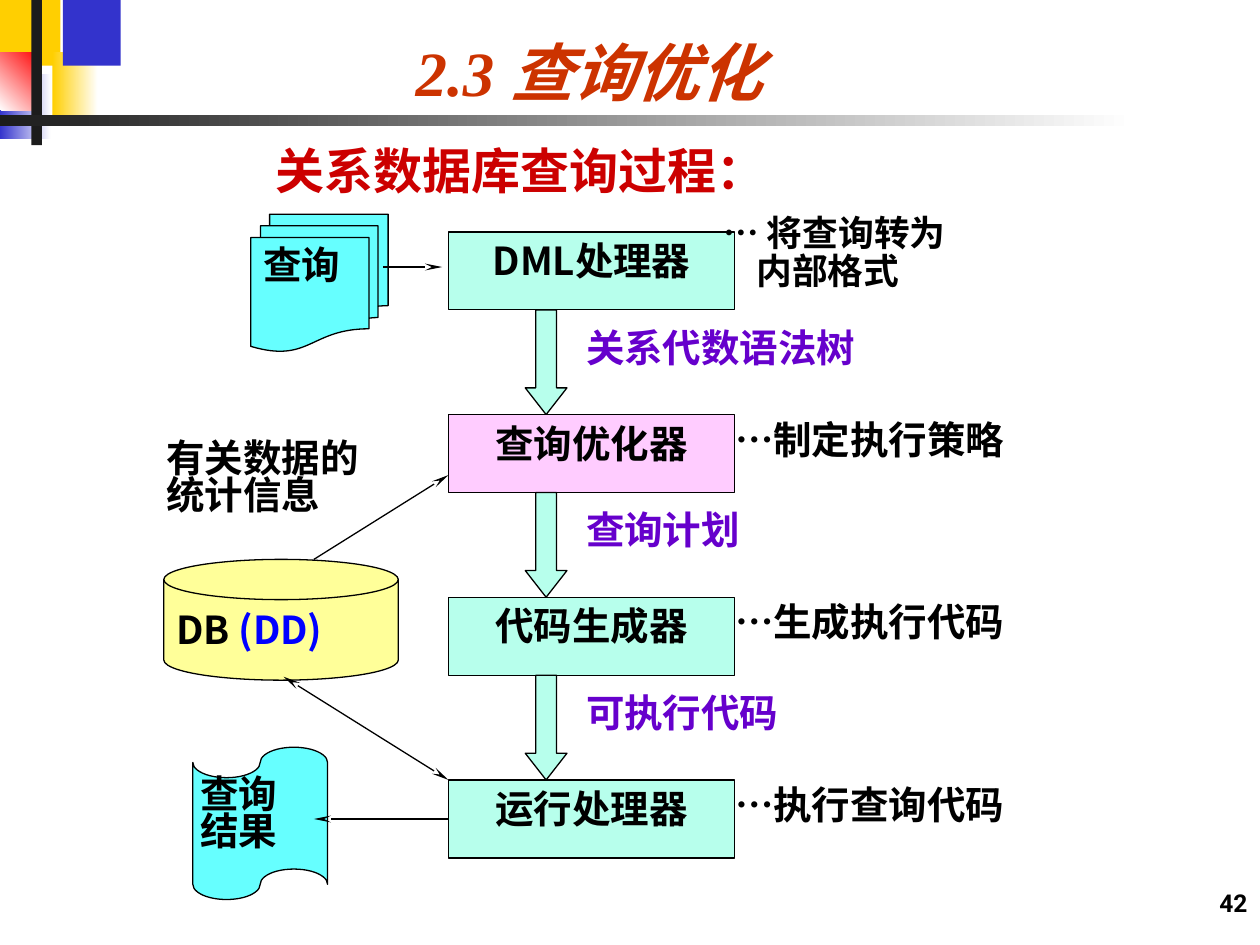
"""Build a slide showing how a relational database processes a query."""
import lxml.etree
import pptx
import pptx.dml.color
import pptx.enum.shapes
import pptx.enum.text
import pptx.oxml.ns
import pptx.util

Pt = pptx.util.Pt
SHAPE = pptx.enum.shapes.MSO_SHAPE
ALIGN = pptx.enum.text.PP_ALIGN
ANCHOR = pptx.enum.text.MSO_ANCHOR
qn = pptx.oxml.ns.qn

COLORS = {
    "gold": "FFCF01", "indigo": "3333CC", "bright": "FF0000", "ink": "1C1C1C",
    "white": "FFFFFF", "black": "000000", "title": "CC3300", "heading": "CC0000",
    "mint": "B7FFEC", "pink": "FFCCFF", "cyan": "66FFFF", "yellow": "FFFF99",
    "purple": "6600CC", "blue": "0000FF",
}
CJK = "Noto Sans CJK SC"
TIGHT = (1.5, 0.7, 1.5, 0.7)
ROOMY = (7.2, 3.6, 7.2, 3.6)


class Deck:
    """Hold the style and the current slide."""

    def __init__(self, prs):
        self.slide = prs.slides.add_slide(prs.slide_layouts[5])
        self.shapes = self.slide.shapes
        self.line_width = Pt(0.75)

    def rgb(self, name):
        return pptx.dml.color.RGBColor.from_string(COLORS[name])

    def fill_text(self, sp, paragraphs, size=22, font=CJK, italic=False, align=ALIGN.JUSTIFY,
                  anchor=ANCHOR.TOP, spacing=None, insets=TIGHT, indents=()):
        tf = sp.text_frame
        tf.word_wrap = True
        tf.vertical_anchor = anchor
        tf.margin_left, tf.margin_top, tf.margin_right, tf.margin_bottom = map(Pt, insets)
        for i, runs in enumerate(paragraphs):
            p = tf.paragraphs[0] if i == 0 else tf.add_paragraph()
            p.alignment = align
            if spacing:
                p.line_spacing = spacing
            if i < len(indents):
                p._p.get_or_add_pPr().set("marL", str(Pt(indents[i])))
            for text, color in runs:
                r = p.add_run()
                r.text = text
                r.font.size, r.font.name = Pt(size), font
                r.font.bold, r.font.italic = True, italic
                r.font.color.rgb = self.rgb(color)
                ea = lxml.etree.SubElement(r._r.get_or_add_rPr(), qn("a:ea"))
                ea.set("typeface", CJK)

    def title(self, box, text):
        sp = self.shapes.title
        sp.left, sp.top, sp.width, sp.height = map(Pt, box)
        self.fill_text(sp, [[(text, "title")]], 36, "Times New Roman", True,
                       ALIGN.CENTER, ANCHOR.BOTTOM, insets=ROOMY)

    def text(self, box, lines, color="black", **style):
        sp = self.shapes.add_textbox(*map(Pt, box))
        self.fill_text(sp, [[(line, color)] for line in lines], **style)

    def shape(self, kind, box, fill, paragraphs=(), **style):
        sp = self.shapes.add_shape(kind, *map(Pt, box))
        sp.shadow.inherit = False
        sp.fill.solid()
        sp.fill.fore_color.rgb = self.rgb(fill)
        sp.line.color.rgb = self.rgb("black")
        sp.line.width = self.line_width
        if paragraphs:
            self.fill_text(sp, paragraphs, **style)
        return sp

    def block(self, box, start, end=None, angle=0):
        sp = self.shape(SHAPE.RECTANGLE, box, start)
        sp.line.fill.background()
        if end:
            sp.fill.gradient()
            sp.fill.gradient_angle = angle
            for stop, color in zip(sp.fill.gradient_stops, (start, end)):
                stop.color.rgb = self.rgb(color)

    def arrow(self, x1, y1, x2, y2, ends=("tailEnd",)):
        line = self.shapes.add_connector(
            pptx.enum.shapes.MSO_CONNECTOR.STRAIGHT, *map(Pt, (x1, y1, x2, y2)))
        line.line.color.rgb = self.rgb("black")
        line.line.width = self.line_width
        ln = line.line._get_or_add_ln()
        for end in ends:
            lxml.etree.SubElement(ln, qn("a:" + end), type="stealth", w="sm", len="lg")
        lxml.etree.SubElement(line._element.spPr, qn("a:effectLst"))
        return line


def main():
    prs = pptx.Presentation()
    prs.slide_width, prs.slide_height = Pt(720), Pt(540)
    deck = Deck(prs)

    deck.block((0, 0, 34.5, 37.5), "gold")
    deck.block((30, 30, 26, 37.5), "gold", "white")
    deck.block((36, 0, 33, 37.5), "indigo")
    deck.block((0, 42, 29, 37.5), "indigo", "white")
    deck.block((0, 30, 24, 33), "white", "bright", 45)
    deck.block((18, 0, 6, 83), "ink")
    deck.block((0, 66, 648, 6), "ink", "white")

    deck.title((91, 0, 491, 66), "2.3 查询优化")
    deck.text((150.5, 76.5, 345.5, 41), ["关系数据库查询过程："], "heading",
              size=28, align=ALIGN.LEFT, insets=ROOMY)

    stages = [
        ("DML处理器", "mint", None, "关系代数语法树"),
        ("查询优化器", "pink", "…制定执行策略", "查询计划"),
        ("代码生成器", "mint", "…生成执行代码", "可执行代码"),
        ("运行处理器", "mint", "…执行查询代码", None),
    ]
    left, top, width, height, pitch = 256.3, 132.5, 163.5, 44.6, 104.4
    for i, (name, fill, note, product) in enumerate(stages):
        y = top + i * pitch
        stage = deck.shape(SHAPE.RECTANGLE, (left, y, width, height), fill,
                           [[(name, "black")]], align=ALIGN.CENTER,
                           insets=(1.5, 2.9, 1.5, 0.7))
        if note:
            deck.text((418.5, y, 231, 34.5), [note])
        if product:
            down = deck.shape(SHAPE.DOWN_ARROW, (300.2, y + height, 23.8, pitch - height), "mint")
            down.adjustments[1] = 0.64
            deck.text((333.4, y + 51.8, 163.5, 29.5), [product], "purple")

    deck.text((411.8, 122.4, 211.7, 54), ["… 将查询转为", "内部格式"],
              size=20.4, spacing=0.9, indents=(0, 19))
    deck.text((93.6, 252.7, 154, 53.3), ["有关数据的", "统计信息"], spacing=0.8)

    deck.shape(SHAPE.FLOWCHART_MAGNETIC_DISK, (93.6, 319.7, 134, 69), "yellow",
               [[("DB ", "black"), ("(DD)", "blue")]], insets=ROOMY)
    deck.shape(SHAPE.FLOWCHART_MULTIDOCUMENT, (143.3, 122.4, 78.5, 78.5), "cyan",
               [[("查询", "black")]], spacing=0.96, insets=ROOMY)
    deck.shape(SHAPE.FLOWCHART_PUNCHED_TAPE, (110.2, 427, 77, 87), "cyan",
               [[("查询", "black")], [("结果", "black")]], spacing=0.8,
               insets=(4.3, 0.7, 1.5, 0.7))

    deck.arrow(179.3, 319.7, left, 271.5)
    deck.arrow(162, 386.7, left, 445.7, ("headEnd", "tailEnd"))
    deck.arrow(218.9, 152.6, 252.7, 152.6)
    middle = top + 3 * pitch + height / 2
    deck.arrow(left, middle, 179.3, middle).begin_connect(stage, 1)

    deck.text((570, 504, 150, 36), ["42"], size=14, font="Roboto",
              align=ALIGN.RIGHT, insets=ROOMY)
    prs.save("out.pptx")


if __name__ == "__main__":
    main()
